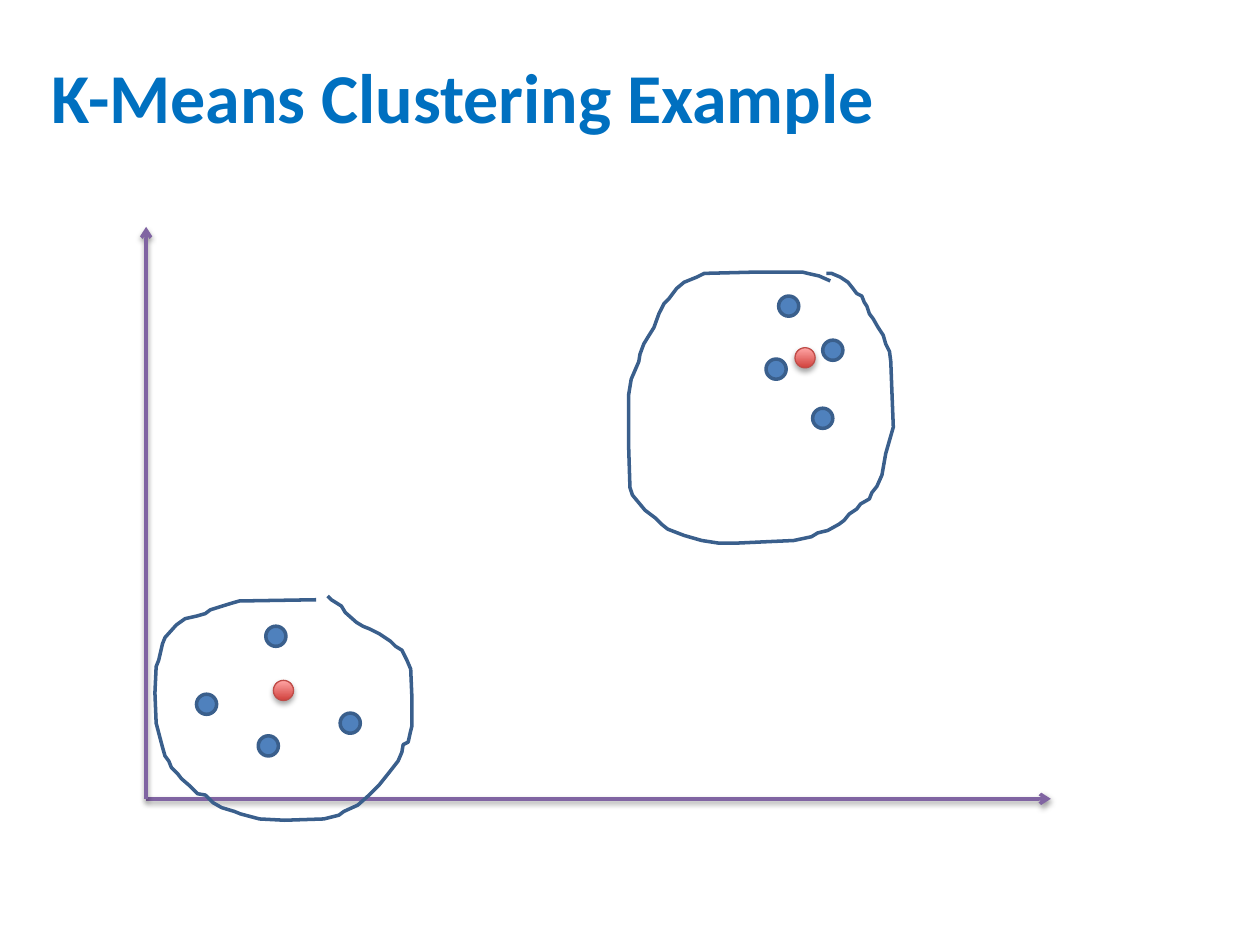
from dataclasses import dataclass
from typing import NamedTuple

from lxml.etree import SubElement
from pptx import Presentation
from pptx.dml.color import RGBColor
from pptx.enum.shapes import MSO_CONNECTOR, MSO_SHAPE
from pptx.enum.text import MSO_ANCHOR
from pptx.oxml.ns import qn
from pptx.util import Inches, Pt


class Point(NamedTuple):
    x: float
    y: float


@dataclass(frozen=True)
class Theme:
    font: str = "Calibri"
    title_size: int = 40
    title: str = "0070C0"
    axis: str = "8064A2"
    sample: str = "4F81BD"
    outline: str = "3A5F8C"
    centroid_dark: str = "D1403C"
    centroid_light: str = "FFA6A5"
    centroid_edge: str = "BF4C48"
    line_width: float = 2
    centroid_line_width: float = 0.75
    marker_size: float = 0.16


@dataclass(frozen=True)
class Cluster:
    samples: list[Point]
    centroid: Point
    boundary: list[Point]


THEME = Theme()
ORIGIN = Point(1.16, 6.34)
AXIS_ENDS = [Point(8.34, 6.34), Point(1.16, 1.8)]

LOWER_LEFT = Cluster(
    samples=[Point(1.56, 5.51), Point(2.11, 4.97), Point(2.05, 5.84), Point(2.7, 5.66)],
    centroid=Point(2.17, 5.4),
    boundary=[Point(*xy) for xy in [
        (2.51, 4.76), (1.9, 4.77), (1.83, 4.79), (1.67, 4.84), (1.63, 4.87),
        (1.56, 4.89), (1.47, 4.91), (1.4, 4.96), (1.31, 5.06), (1.29, 5.11),
        (1.26, 5.24), (1.24, 5.29), (1.23, 5.5), (1.24, 5.74), (1.29, 5.93),
        (1.31, 6), (1.34, 6.04), (1.36, 6.09), (1.41, 6.14), (1.44, 6.18),
        (1.51, 6.24), (1.57, 6.3), (1.63, 6.31), (1.69, 6.37), (1.76, 6.41),
        (1.86, 6.44), (1.91, 6.46), (2.06, 6.5), (2.26, 6.51), (2.57, 6.5),
        (2.69, 6.47), (2.73, 6.44), (2.84, 6.39), (2.93, 6.31), (3.01, 6.23),
        (3.09, 6.13), (3.16, 6.04), (3.19, 5.97), (3.2, 5.91), (3.24, 5.89),
        (3.26, 5.8), (3.27, 5.76), (3.27, 5.55), (3.26, 5.31), (3.23, 5.24),
        (3.19, 5.16), (3.14, 5.13), (3.1, 5.09), (3.01, 5.03), (2.93, 4.99),
        (2.88, 4.97), (2.83, 4.94), (2.74, 4.86), (2.71, 4.81), (2.63, 4.76),
        (2.6, 4.73),
    ]],
)

UPPER_RIGHT = Cluster(
    samples=[Point(6.45, 3.24), Point(6.18, 2.35), Point(6.53, 2.7), Point(6.08, 2.85)],
    centroid=Point(6.31, 2.76),
    boundary=[Point(*xy) for xy in [
        (6.59, 2.23), (6.5, 2.19), (6.41, 2.17), (6.37, 2.16), (5.98, 2.16),
        (5.59, 2.17), (5.53, 2.2), (5.43, 2.24), (5.37, 2.29), (5.31, 2.37),
        (5.27, 2.41), (5.23, 2.49), (5.19, 2.6), (5.14, 2.68), (5.11, 2.73),
        (5.08, 2.81), (5.07, 2.87), (5.01, 3.01), (4.99, 3.13), (4.99, 3.24),
        (4.99, 3.56), (5, 3.87), (5.02, 3.93), (5.07, 3.99), (5.12, 4.05),
        (5.2, 4.11), (5.25, 4.16), (5.3, 4.2), (5.43, 4.25), (5.57, 4.29),
        (5.7, 4.31), (5.86, 4.31), (6.08, 4.3), (6.3, 4.29), (6.44, 4.26),
        (6.49, 4.23), (6.57, 4.21), (6.66, 4.16), (6.7, 4.13), (6.74, 4.08),
        (6.8, 4.04), (6.83, 4), (6.9, 3.96), (6.92, 3.91), (6.96, 3.86),
        (7, 3.77), (7.03, 3.6), (7.07, 3.46), (7.09, 3.39), (7.08, 3.13),
        (7.07, 2.87), (7.06, 2.79), (7.03, 2.73), (7.01, 2.66), (6.97, 2.6),
        (6.93, 2.53), (6.9, 2.49), (6.88, 2.43), (6.86, 2.4), (6.84, 2.35),
        (6.8, 2.33), (6.77, 2.29), (6.73, 2.24), (6.67, 2.2), (6.6, 2.17),
        (6.56, 2.17),
    ]],
)


def style_line(line, color: str, width: float) -> None:
    line.color.rgb = RGBColor.from_string(color)
    line.width = Pt(width)


def add_shadow(effects, opacity: int, distance: float) -> None:
    shadow = SubElement(effects, qn("a:outerShdw"), blurRad=str(Pt(3.1)),
                        dist=str(Pt(distance)), dir="5400000", rotWithShape="0")
    black = SubElement(shadow, qn("a:srgbClr"), val="000000")
    SubElement(black, qn("a:alpha"), val=str(opacity * 1000))


def add_title(slide, words: str) -> None:
    title = slide.shapes.add_textbox(Inches(0.31), Inches(0.32), Inches(9.46), Inches(0.88))
    frame = title.text_frame
    frame.word_wrap = True
    frame.vertical_anchor = MSO_ANCHOR.MIDDLE
    run = frame.paragraphs[0].add_run()
    run.text = words
    run.font.name = THEME.font
    run.font.size = Pt(THEME.title_size)
    run.font.bold = True
    run.font.color.rgb = RGBColor.from_string(THEME.title)


def add_axis(slide, end: Point) -> None:
    axis = slide.shapes.add_connector(
        MSO_CONNECTOR.STRAIGHT, Inches(ORIGIN.x), Inches(ORIGIN.y), Inches(end.x), Inches(end.y))
    style_line(axis.line, THEME.axis, THEME.line_width)
    properties = axis._element.spPr
    SubElement(properties.find(qn("a:ln")), qn("a:tailEnd"), type="arrow")
    add_shadow(SubElement(properties, qn("a:effectLst")), 38, 1.6)


def add_marker(slide, corner: Point):
    size = Inches(THEME.marker_size)
    marker = slide.shapes.add_shape(
        MSO_SHAPE.OVAL, Inches(corner.x), Inches(corner.y), size, size)
    marker.shadow.inherit = False
    return marker


def add_sample(slide, corner: Point) -> None:
    sample = add_marker(slide, corner)
    sample.fill.solid()
    sample.fill.fore_color.rgb = RGBColor.from_string(THEME.sample)
    style_line(sample.line, THEME.outline, THEME.line_width)


def add_centroid(slide, corner: Point) -> None:
    centroid = add_marker(slide, corner)
    centroid.fill.gradient()
    centroid.fill.gradient_angle = 90
    for stop, color in zip(centroid.fill.gradient_stops,
                           (THEME.centroid_dark, THEME.centroid_light)):
        stop.color.rgb = RGBColor.from_string(color)
    style_line(centroid.line, THEME.centroid_edge, THEME.centroid_line_width)
    add_shadow(centroid._element.spPr.find(qn("a:effectLst")), 35, 1.8)


def add_boundary(slide, points: list[Point]) -> None:
    start, *rest = [(Inches(point.x), Inches(point.y)) for point in points]
    builder = slide.shapes.build_freeform(*start)
    builder.add_line_segments(rest, close=False)
    boundary = builder.convert_to_shape()
    boundary.shadow.inherit = False
    boundary.fill.background()
    style_line(boundary.line, THEME.outline, THEME.line_width)


def main() -> None:
    deck = Presentation()
    deck.slide_width, deck.slide_height = Inches(10), Inches(7.5)
    slide = deck.slides.add_slide(deck.slide_layouts[6])
    clusters = [LOWER_LEFT, UPPER_RIGHT]

    add_title(slide, "K-Means Clustering Example")
    for end in AXIS_ENDS:
        add_axis(slide, end)
    for cluster in clusters:
        for corner in cluster.samples:
            add_sample(slide, corner)
    for cluster in clusters:
        add_centroid(slide, cluster.centroid)
    for cluster in clusters:
        add_boundary(slide, cluster.boundary)
    deck.save("out.pptx")


if __name__ == "__main__":
    main()
